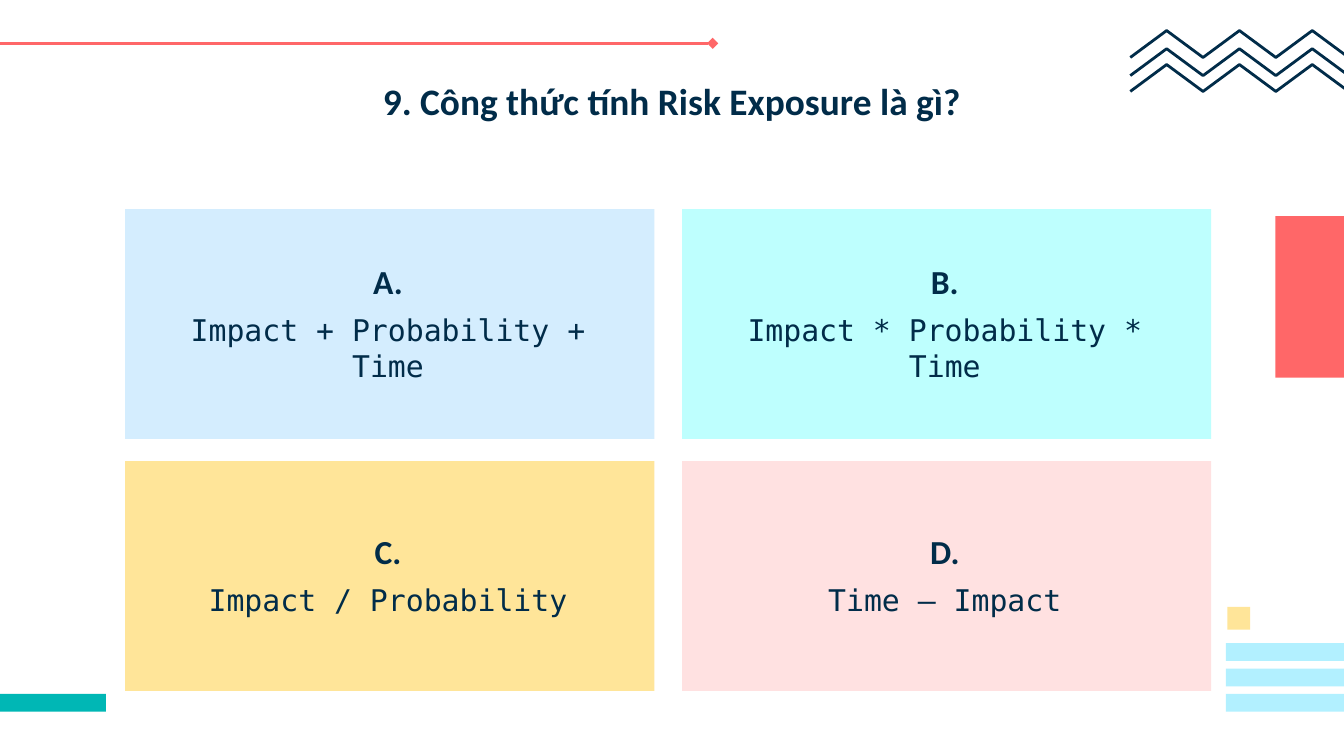
from dataclasses import dataclass

from lxml import etree
from pptx import Presentation
from pptx.dml.color import RGBColor
from pptx.enum.shapes import MSO_CONNECTOR, MSO_SHAPE
from pptx.enum.text import MSO_ANCHOR, PP_ALIGN
from pptx.oxml.ns import qn
from pptx.util import Pt

RECTANGLE = MSO_SHAPE.RECTANGLE
STRAIGHT = MSO_CONNECTOR.STRAIGHT
CENTER = PP_ALIGN.CENTER
TOP, MIDDLE = MSO_ANCHOR.TOP, MSO_ANCHOR.MIDDLE


@dataclass(frozen=True)
class Theme:
    ink: str = "012C49"
    coral: str = "FF6768"
    teal: str = "00B7B5"
    sky: str = "B2F0FF"
    yellow: str = "FFE599"
    blue: str = "D4EDFE"
    aqua: str = "BEFFFE"
    pink: str = "FFE1E1"
    heading_font: str = "Calibri"
    formula_font: str = "DejaVu Sans Mono"
    title_size: int = 20
    letter_size: int = 18
    formula_size: int = 16
    line_width: float = 1.5


THEME = Theme()
SLIDE_WIDTH, SLIDE_HEIGHT = 720, 405

QUESTION = "9. Công thức tính Risk Exposure là gì?"
ANSWERS = [
    ("A.", "Impact + Probability + Time", THEME.blue),
    ("B.", "Impact * Probability * Time", THEME.aqua),
    ("C.", "Impact / Probability", THEME.yellow),
    ("D.", "Time – Impact", THEME.pink),
]


def add_block(slide, box, color):
    """Add a plain filled rectangle."""
    block = slide.shapes.add_shape(RECTANGLE, *map(Pt, box))
    block.shadow.inherit = False
    block.fill.solid()
    block.fill.fore_color.rgb = RGBColor.from_string(color)
    block.line.fill.background()


def add_text(slide, box, lines, anchor):
    """Add centred paragraphs from (text, font, size, bold, space after)."""
    frame = slide.shapes.add_textbox(*map(Pt, box)).text_frame
    frame.word_wrap = True
    frame.vertical_anchor = anchor
    frame.margin_left = frame.margin_right = Pt(7.2)
    frame.margin_top = frame.margin_bottom = Pt(7.2)
    for index, (text, font, size, bold, space_after) in enumerate(lines):
        paragraph = frame.add_paragraph() if index else frame.paragraphs[0]
        paragraph.text = text
        paragraph.alignment = CENTER
        paragraph.space_after = Pt(space_after)
        paragraph.font.name = font
        paragraph.font.size = Pt(size)
        paragraph.font.bold = bold
        paragraph.font.color.rgb = RGBColor.from_string(THEME.ink)


def style_line(line, color):
    line.color.rgb = RGBColor.from_string(color)
    line.width = Pt(THEME.line_width)


def add_top_rule(slide, box):
    """Add a horizontal rule with a diamond at its right end."""
    left, top, width, _ = box
    rule = slide.shapes.add_connector(
        STRAIGHT, Pt(left), Pt(top), Pt(left + width), Pt(top))
    style_line(rule.line, THEME.coral)
    properties = rule._element.spPr
    tail = etree.SubElement(properties.find(qn("a:ln")), qn("a:tailEnd"))
    tail.set("type", "diamond")
    etree.SubElement(properties, qn("a:effectLst"))


def add_zigzags(slide, box):
    """Stack three zigzag lines that run past the right edge."""
    left, top, width, height = box
    segments, amplitude = 9, 14.4
    step = width / segments
    for offset in (0, 0.48 * (height - amplitude) + 1, height - amplitude):
        crest = top + offset
        points = [(Pt(left + i * step), Pt(crest + (0 if i % 2 else amplitude)))
                  for i in range(segments + 1)]
        builder = slide.shapes.build_freeform(*points[0])
        builder.add_line_segments(points[1:], close=False)
        zigzag = builder.convert_to_shape()
        zigzag.shadow.inherit = False
        zigzag.fill.background()
        style_line(zigzag.line, THEME.ink)


def add_corner_bars(slide, box):
    """Add a small square above three evenly spaced bars."""
    left, top, width, height = box
    bar_height, pitch = 9.5, 13.6
    add_block(slide, (left + 0.8, top, 12.2, 12.2), THEME.yellow)
    first_bar = top + height - bar_height - 2 * pitch
    for row in range(3):
        bar = (left, first_bar + row * pitch, width, bar_height)
        add_block(slide, bar, THEME.sky)


def add_answer(slide, box, letter, formula, color):
    left, top, width, height = box
    add_block(slide, box, color)
    add_text(slide, (left + 6, top + 7, width - 14, height - 16), [
        (letter, THEME.heading_font, THEME.letter_size, True, 6),
        (formula, THEME.formula_font, THEME.formula_size, False, 0),
    ], MIDDLE)


def add_answer_grid(slide, box):
    """Lay the four answers out in two columns and two rows."""
    left, top, width, height = box
    column_gap, row_gap = 14.8, 12
    card_width = (width - column_gap) / 2
    card_height = (height - row_gap) / 2
    for index, answer in enumerate(ANSWERS):
        row, column = divmod(index, 2)
        card = (left + column * (card_width + column_gap),
                top + row * (card_height + row_gap), card_width, card_height)
        add_answer(slide, card, *answer)


def add_title(slide, box):
    add_text(slide, box, [
        (QUESTION, THEME.heading_font, THEME.title_size, True, 0)], TOP)


def main():
    deck = Presentation()
    deck.slide_width, deck.slide_height = Pt(SLIDE_WIDTH), Pt(SLIDE_HEIGHT)
    slide = deck.slides.add_slide(deck.slide_layouts[6])

    add_top_rule(slide, (0, 23.2, 381.8, 0))
    add_corner_bars(slide, (656.8, 325.2, 63.2, 56.1))
    add_block(slide, (683.2, 115.8, 36.8, 86.6), THEME.coral)
    add_block(slide, (0, 371.8, 56.8, 9.5), THEME.teal)
    add_zigzags(slide, (605.5, 16.4, 175.5, 32.6))
    add_title(slide, (145.2, 34.6, 429.6, 66.2))
    add_answer_grid(slide, (67.1, 112, 581.8, 258.2))

    deck.save("out.pptx")


if __name__ == "__main__":
    main()
